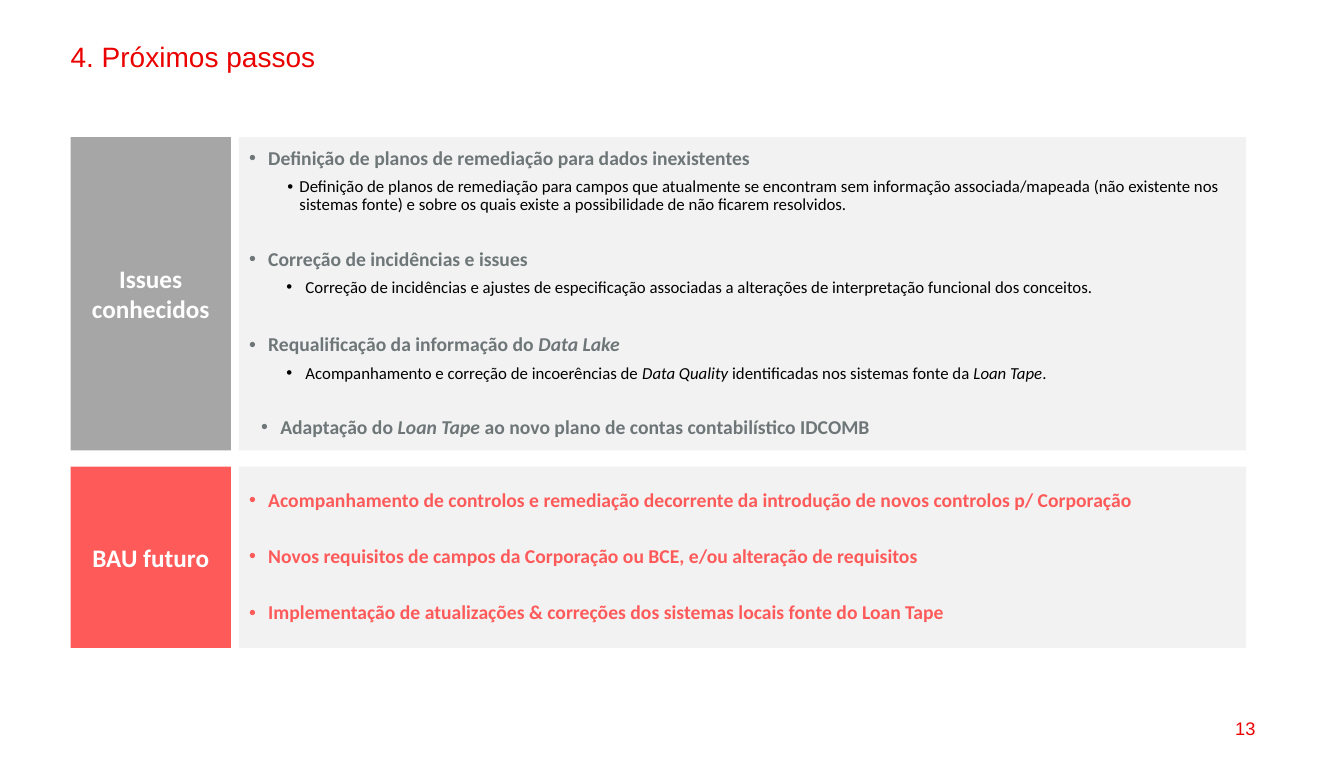
from dataclasses import dataclass

from lxml import etree
from pptx import Presentation
from pptx.dml.color import RGBColor
from pptx.enum.shapes import MSO_SHAPE
from pptx.enum.text import MSO_ANCHOR, MSO_AUTO_SIZE, PP_ALIGN
from pptx.oxml.ns import qn
from pptx.util import Pt

EMU_PER_PX = 9144
RECTANGLE = MSO_SHAPE.RECTANGLE
TOP, MIDDLE = MSO_ANCHOR.TOP, MSO_ANCHOR.MIDDLE
NO_AUTOFIT = MSO_AUTO_SIZE.NONE
LEFT, CENTER, RIGHT = PP_ALIGN.LEFT, PP_ALIGN.CENTER, PP_ALIGN.RIGHT
TWO_CONTENT_LAYOUT = 3


@dataclass(frozen=True)
class Theme:
    heading_font: str = "Arial"
    body_font: str = "Calibri"
    red: str = "EB0000"
    coral: str = "FF5A5A"
    gray: str = "A6A6A6"
    slate: str = "6E7678"
    panel: str = "F2F2F2"
    black: str = "000000"
    white: str = "FFFFFF"
    title_size: int = 20
    label_size: int = 18
    topic_size: int = 14
    detail_size: int = 12
    number_size: int = 13


@dataclass(frozen=True)
class Item:
    """One list line; text between asterisks is italic, lengths are px and gap is points."""
    text: str
    gap: int = 6
    margin: int = 19
    hanging: int = 19
    detail: bool = False


THEME = Theme()

KNOWN_ISSUES = [
    Item("Definição de planos de remediação para dados inexistentes", gap=0),
    Item("Definição de planos de remediação para campos que atualmente se encontram sem "
         "informação associada/mapeada (não existente nos sistemas fonte) e sobre os quais "
         "existe a possibilidade de não ficarem resolvidos.",
         margin=50, hanging=12, detail=True),
    Item("Correção de incidências e issues", gap=25),
    Item("Correção de incidências e ajustes de especificação associadas a alterações de "
         "interpretação funcional dos conceitos.", margin=56, detail=True),
    Item("Requalificação da informação do *Data Lake*", gap=27),
    Item("Acompanhamento e correção de incoerências de *Data Quality *identificadas nos "
         "sistemas fonte da *Loan Tape*.", margin=56, detail=True),
    Item("Adaptação do *Loan Tape *ao novo plano de contas contabilístico IDCOMB",
         gap=25, margin=31),
]

FUTURE_WORK = [
    Item("Acompanhamento de controlos e remediação decorrente da introdução de novos "
         "controlos p/ Corporação", gap=0),
    Item("Novos requisitos de campos da Corporação ou BCE, e/ou alteração de requisitos", gap=25),
    Item("Implementação de atualizações & correções dos sistemas locais fonte do Loan Tape",
         gap=25),
]


def px(length):
    return length * EMU_PER_PX


def place(shape, box):
    shape.left, shape.top, shape.width, shape.height = map(px, box)


def fill_with(shape, color):
    shape.fill.solid()
    shape.fill.fore_color.rgb = RGBColor.from_string(color)


def set_font(font, name, size, color, bold=False):
    font.name = name
    font.size = Pt(size)
    font.color.rgb = RGBColor.from_string(color)
    font.bold = bold


def set_frame(frame, anchor, side=10, edge=5):
    frame.word_wrap = True
    frame.auto_size = NO_AUTOFIT
    frame.vertical_anchor = anchor
    frame.margin_left = frame.margin_right = px(side)
    frame.margin_top = frame.margin_bottom = px(edge)


def write_line(shape, text, align, anchor, name, size, color, bold=False):
    frame = shape.text_frame
    set_frame(frame, anchor)
    frame.text = text
    para = frame.paragraphs[0]
    para.alignment = align
    set_font(para.runs[0].font, name, size, color, bold)
    return para


def add_bullet(para, margin, hanging):
    properties = para._p.get_or_add_pPr()
    properties.set("marL", str(px(margin)))
    properties.set("indent", str(-px(hanging)))
    etree.SubElement(properties, qn("a:buFont")).set("typeface", THEME.heading_font)
    etree.SubElement(properties, qn("a:buChar")).set("char", "•")


def write_item(para, item, topic_color):
    add_bullet(para, item.margin, item.hanging)
    para.level = 1 if item.detail else 0
    para.alignment = LEFT
    para.line_spacing = 0.9
    para.space_before = Pt(item.gap)
    size = THEME.detail_size if item.detail else THEME.topic_size
    color = THEME.black if item.detail else topic_color
    for index, piece in enumerate(item.text.split("*")):
        if piece:
            span = para.add_run()
            span.text = piece
            set_font(span.font, THEME.body_font, size, color, not item.detail)
            span.font.italic = index % 2 == 1


def build_title(title, box):
    place(title, box)
    para = write_line(title, "4. Próximos passos", LEFT, TOP,
                      THEME.heading_font, THEME.title_size, THEME.red)
    para.line_spacing = 0.9


def build_section(slide, body, box, label, label_color, items, topic_color):
    """Place a coloured label on the left of the box and its list panel on the right."""
    left, top, width, height = box
    label_width, gutter = 159, 8
    tile = slide.shapes.add_shape(RECTANGLE, *map(px, (left, top, label_width, height)))
    tile.shadow.inherit = False
    tile.line.fill.background()
    fill_with(tile, label_color)
    write_line(tile, label, CENTER, MIDDLE,
               THEME.body_font, THEME.label_size, THEME.white, True)

    offset = label_width + gutter
    place(body, (left + offset, top, width - offset, height))
    fill_with(body, THEME.panel)
    frame = body.text_frame
    set_frame(frame, MIDDLE, edge=4)
    for index, item in enumerate(items):
        para = frame.add_paragraph() if index else frame.paragraphs[0]
        write_item(para, item, topic_color)


def build_page_number(slide, box):
    number = slide.shapes.add_textbox(*map(px, box))
    write_line(number, "13", RIGHT, MIDDLE,
               THEME.heading_font, THEME.number_size, THEME.red)


def build_next_steps(deck):
    slide = deck.slides.add_slide(deck.slide_layouts[TWO_CONTENT_LAYOUT])
    title, issues, future = slide.placeholders
    build_title(title, (60, 38, 1177, 34))
    build_section(slide, issues, (70, 136, 1166, 311), "Issues conhecidos",
                  THEME.gray, KNOWN_ISSUES, THEME.slate)
    build_section(slide, future, (70, 463, 1166, 180), "BAU futuro",
                  THEME.coral, FUTURE_WORK, THEME.coral)
    build_page_number(slide, (955, 702, 300, 41))


def main():
    deck = Presentation()
    deck.slide_width, deck.slide_height = px(1333), px(776)
    build_next_steps(deck)
    deck.save("out.pptx")


if __name__ == "__main__":
    main()
